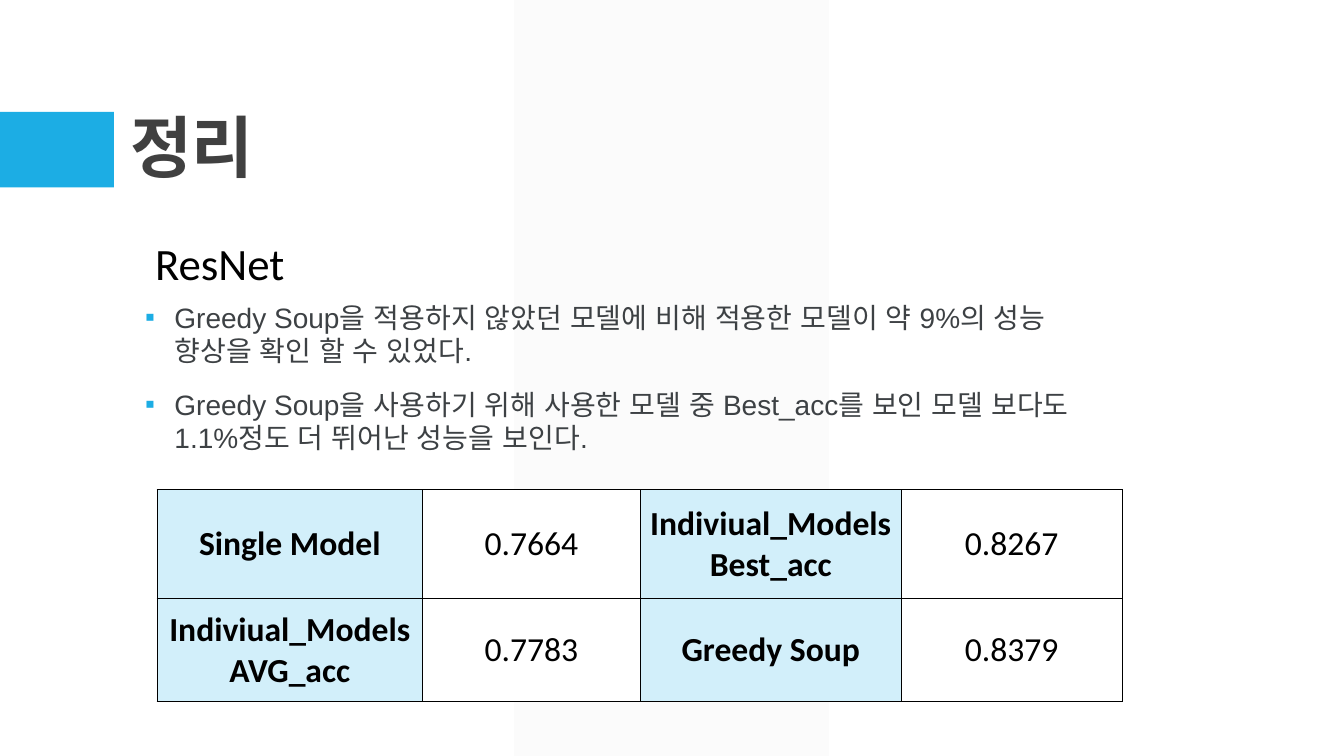
from dataclasses import dataclass

from lxml import etree
from pptx import Presentation
from pptx.dml.color import RGBColor
from pptx.enum.shapes import MSO_SHAPE
from pptx.enum.text import MSO_ANCHOR, PP_ALIGN
from pptx.oxml.ns import qn
from pptx.util import Inches, Pt

BAND, RECT = MSO_SHAPE.PARALLELOGRAM, MSO_SHAPE.RECTANGLE
TOP, MIDDLE, BOTTOM = MSO_ANCHOR.TOP, MSO_ANCHOR.MIDDLE, MSO_ANCHOR.BOTTOM
CENTER = PP_ALIGN.CENTER

ACCENT, LABEL_FILL, WHITE, BLACK = "1CADE4", "D2EFFA", "FFFFFF", "000000"
COLUMNS = (2.63, 2.16, 2.59, 2.19)
ROWS = (1.08, 1.02)
RESULTS = (
    ("Single Model", "0.7664", "Indiviual_Models Best_acc", "0.8267"),
    ("Indiviual_Models AVG_acc", "0.7783", "Greedy Soup", "0.8379"),
)
FINDINGS = (
    "Greedy Soup을 적용하지 않았던 모델에 비해 적용한 모델이 약 9%의 성능 향상을 확인 할 수 있었다.",
    "Greedy Soup을 사용하기 위해 사용한 모델 중 Best_acc를 보인 모델 보다도 "
    "1.1%정도 더 뛰어난 성능을 보인다.",
)


@dataclass(frozen=True)
class Box:
    left: float
    top: float
    width: float
    height: float

    def lengths(self) -> tuple:
        return tuple(Inches(v) for v in (self.left, self.top, self.width, self.height))


@dataclass(frozen=True)
class Style:
    font: str
    size: int
    color: str
    bold: bool = False


TITLE = Style("Arial", 48, "404040", True)
BODY = Style("Arial", 20, "3D4144")
HEADING = Style("Calibri", 32, BLACK)
LABEL = Style("Calibri", 24, BLACK, True)
VALUE = Style("Calibri", 24, BLACK)


def rgb(color: str) -> RGBColor:
    return RGBColor.from_string(color)


def style_paragraph(p, style: Style) -> None:
    """Format every run, with the same typeface for Latin and Korean text."""
    for r in p.runs:
        r.font.name = style.font
        r.font.size = Pt(style.size)
        r.font.bold = style.bold
        r.font.color.rgb = rgb(style.color)
        etree.SubElement(r._r.get_or_add_rPr(), qn("a:ea"), typeface=style.font)


def add_block(s, kind, box: Box, color: str):
    sp = s.shapes.add_shape(kind, *box.lengths())
    sp.shadow.inherit = False
    sp.fill.solid()
    sp.fill.fore_color.rgb = rgb(color)
    sp.line.fill.background()
    return sp


def add_text(s, box: Box, text: str, style: Style, anchor=TOP):
    tf = s.shapes.add_textbox(*box.lengths()).text_frame
    tf.word_wrap = True
    tf.vertical_anchor = anchor
    tf.text = text
    for p in tf.paragraphs:
        style_paragraph(p, style)
    return tf


def add_bullet(p) -> None:
    p.space_before, p.space_after = Pt(12), Pt(2)
    pPr = p._p.get_or_add_pPr()
    pPr.set("marL", str(Inches(0.29)))
    pPr.set("indent", str(-Inches(0.29)))
    color = etree.SubElement(pPr, qn("a:buClr"))
    etree.SubElement(color, qn("a:srgbClr"), val=ACCENT)
    etree.SubElement(pPr, qn("a:buFont"), typeface="Arial")
    etree.SubElement(pPr, qn("a:buChar"), char="▪")


def add_borders(cell) -> None:
    tcPr = cell._tc.get_or_add_tcPr()
    for i, side in enumerate(("a:lnL", "a:lnR", "a:lnT", "a:lnB")):
        ln = etree.Element(qn(side), w=str(Pt(1)))
        fill = etree.SubElement(ln, qn("a:solidFill"))
        etree.SubElement(fill, qn("a:srgbClr"), val=BLACK)
        tcPr.insert(i, ln)


def add_results(s, box: Box) -> None:
    table = s.shapes.add_table(len(ROWS), len(COLUMNS), *box.lengths()).table
    table.first_row = table.horz_banding = False
    for column, width in zip(table.columns, COLUMNS):
        column.width = Inches(width)
    for row, height, texts in zip(table.rows, ROWS, RESULTS):
        row.height = Inches(height)
        for i, (cell, text) in enumerate(zip(row.cells, texts)):
            is_label = i % 2 == 0
            cell.text_frame.text = text
            cell.vertical_anchor = MIDDLE
            cell.margin_left = cell.margin_right = Inches(0.05)
            cell.fill.solid()
            cell.fill.fore_color.rgb = rgb(LABEL_FILL if is_label else WHITE)
            p = cell.text_frame.paragraphs[0]
            p.alignment = CENTER
            style_paragraph(p, LABEL if is_label else VALUE)
            add_borders(cell)


def main() -> None:
    prs = Presentation()
    prs.slide_width, prs.slide_height = Inches(13.33), Inches(7.5)
    s = prs.slides.add_slide(prs.slide_layouts[6])

    band = add_block(s, BAND, Box(5.1, 0, 3.12, 7.5), "F2F2F2")
    band.adjustments[0] = 0
    color = band.fill._xPr.find(".//" + qn("a:srgbClr"))
    etree.SubElement(color, qn("a:alpha"), val="30000")
    add_block(s, RECT, Box(0, 1.11, 1.13, 0.75), ACCENT)

    title = add_text(s, Box(1.2, 0.31, 11, 1.59), "정리", TITLE, BOTTOM).paragraphs[0]
    title.line_spacing = 0.9
    title.runs[0].font._element.set("spc", "-50")

    body = add_text(s, Box(1.44, 2.93, 9.57, 2.41), "\n".join(FINDINGS), BODY)
    body.margin_left = body.margin_right = 0
    for p in body.paragraphs:
        add_bullet(p)

    add_text(s, Box(1.44, 2.29, 5.07, 0.64), "ResNet", HEADING)
    add_results(s, Box(1.56, 4.86, sum(COLUMNS), sum(ROWS)))
    prs.save("out.pptx")


if __name__ == "__main__":
    main()
